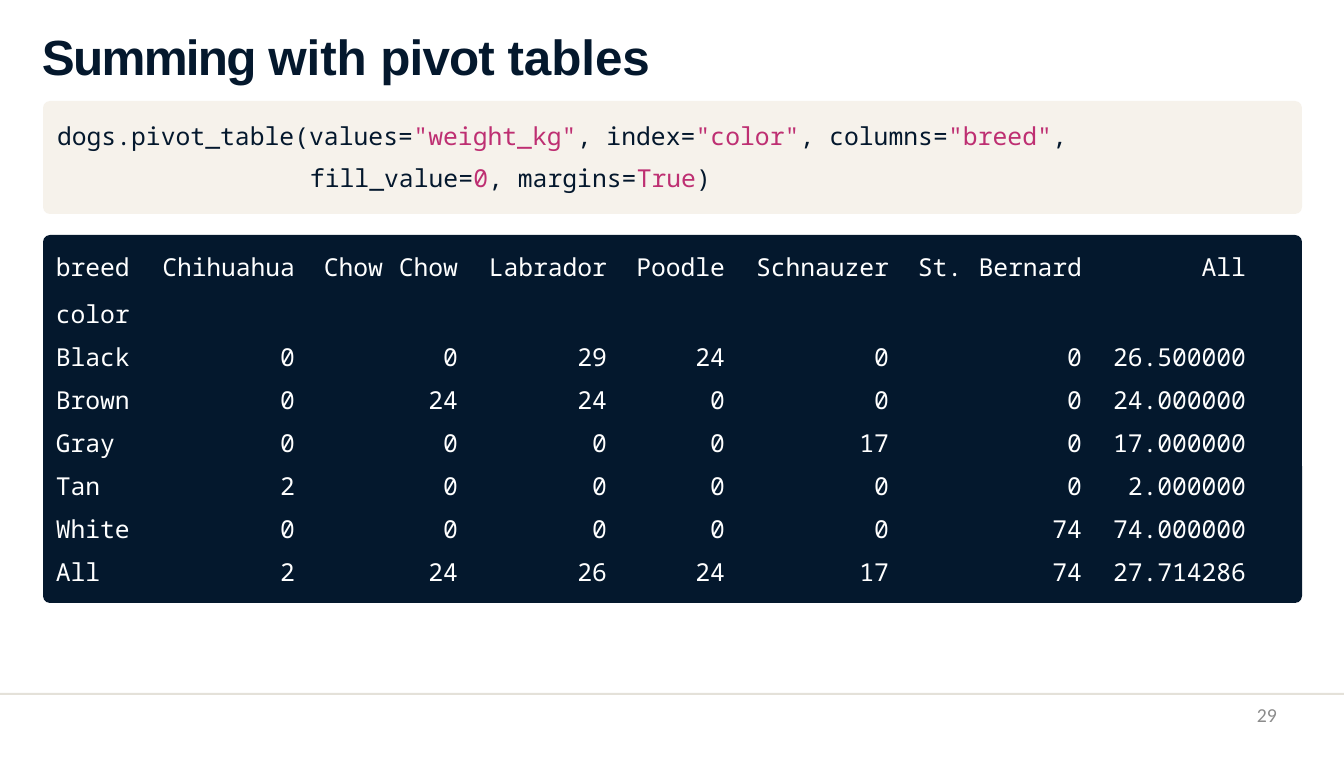
import pptx
import pptx.dml.color
import pptx.enum.shapes
import pptx.enum.text
import pptx.oxml.ns
import pptx.util

SCALE = 914400 / 79  # EMU per px
COLORS = {"navy": "04182D", "cream": "F6F2EB", "pink": "BE2F72",
          "white": "FFFFFF", "rule": "E4E1D9", "gray": "8C8C8C"}
MONO = "Noto Sans Mono"
NO_STYLE = "{2D5ABB26-0587-4C30-8999-92F81FD0307C}"
ALIGN = pptx.enum.text.PP_ALIGN
SHAPES = pptx.enum.shapes.MSO_SHAPE

CODE = [("dogs.pivot_table(values=", "navy"), ('"weight_kg"', "pink"),
        (", index=", "navy"), ('"color"', "pink"), (", columns=", "navy"),
        ('"breed"', "pink"), (", fill_value=", "navy"), ("0", "pink"),
        (", margins=", "navy"), ("True", "pink"), (")", "navy")]

# "Chow Chow" and "St. Bernard" each span two columns
COLUMNS = [92, 163, 82, 81, 149, 118, 164, 67, 126, 152]
HEADER = ["breed", "Chihuahua", "Chow", "Chow", "Labrador", "Poodle",
          "Schnauzer", "St.", "Bernard", "All"]
SPLIT = (2, 7)
ROWS = [["Black", "0", "", "0", "29", "24", "0", "", "0", "26.500000"],
        ["Brown", "0", "", "24", "24", "0", "0", "", "0", "24.000000"],
        ["Gray", "0", "", "0", "0", "0", "17", "", "0", "17.000000"],
        ["Tan", "2", "", "0", "0", "0", "0", "", "0", "2.000000"],
        ["White", "0", "", "0", "0", "0", "0", "", "74", "74.000000"],
        ["All", "2", "", "24", "26", "24", "17", "", "74", "27.714286"]]


def px(n):
    return pptx.util.Emu(round(n * SCALE))


def rgb(name):
    return pptx.dml.color.RGBColor.from_string(COLORS[name])


def add_run(p, text, font=MONO, size=22.5, color="white", bold=False, spacing=0):
    r = p.add_run()
    r.text = text
    r.font.name, r.font.size, r.font.bold = font, pptx.util.Pt(size), bold
    r.font.color.rgb = rgb(color)
    if spacing:
        r._r.get_or_add_rPr().set("spc", str(round(spacing * 100)))
    return r


def format_paragraph(p, align=ALIGN.LEFT, before=0, line=None, left=0, indent=0):
    p.alignment = align
    p.space_before = pptx.util.Pt(before)
    if line:
        p.line_spacing = line
    p_pr = p._p.get_or_add_pPr()
    p_pr.set("marL", str(px(left)))
    p_pr.set("indent", str(px(indent)))
    return p


def prepare_frame(tf, top=0):
    tf.word_wrap = True
    tf.auto_size = pptx.enum.text.MSO_AUTO_SIZE.NONE
    tf.vertical_anchor = pptx.enum.text.MSO_ANCHOR.TOP
    tf.margin_left = tf.margin_right = tf.margin_bottom = 0
    tf.margin_top = px(top)
    return tf.paragraphs[0]


def add_text_box(slide, x, y, w, h, top=0):
    sp = slide.shapes.add_textbox(px(x), px(y), px(w), px(h))
    return prepare_frame(sp.text_frame, top)


def add_panel(slide, x, y, w, h, color, radius=0):
    kind = SHAPES.ROUNDED_RECTANGLE if radius else SHAPES.RECTANGLE
    sp = slide.shapes.add_shape(kind, px(x), px(y), px(w), px(h))
    if radius:
        sp.adjustments[0] = radius / h
    sp.shadow.inherit = False
    sp.fill.solid()
    sp.fill.fore_color.rgb = rgb(color)
    sp.line.fill.background()


def add_title(slide, x, y, w, h):
    sp = slide.shapes.title
    sp.left, sp.top, sp.width, sp.height = px(x), px(y), px(w), px(h)
    p = format_paragraph(prepare_frame(sp.text_frame, 2), before=1.1, left=1)
    for text, spacing in [("Summing ", -1.6), ("with ", -0.1),
                          ("pivot ", -0.8), ("tables", -0.1)]:
        add_run(p, text, font="Arial", size=45, color="navy", bold=True,
                spacing=spacing)


def add_code(slide, x, y, w, h):
    add_panel(slide, x, y, w, h, "cream", radius=7)
    p = add_text_box(slide, x + 13, y + 6, 1012, h - 26, top=1)
    format_paragraph(p, before=0.9, line=1.43, left=254, indent=-253)
    for text, color in CODE:
        add_run(p, text, color=color)


def add_output(slide, x, y, w, h):
    add_panel(slide, x, y, w, h, "navy", radius=7)
    heights = [79] + [43] * 5 + [36]
    frame = slide.shapes.add_table(len(heights), len(COLUMNS), px(x + 11), px(y + 20),
                                   px(sum(COLUMNS)), px(sum(heights)))
    table = frame.table
    table.first_row = table.horz_banding = False
    table._tbl.tblPr.find(pptx.oxml.ns.qn("a:tableStyleId")).text = NO_STYLE
    for column, width in zip(table.columns, COLUMNS):
        column.width = px(width)
    for i, (row, height) in enumerate(zip([HEADER] + ROWS, heights)):
        table.rows[i].height = px(height)
        for j, text in enumerate(row):
            fill_cell(table.cell(i, j), text, i == 0, j)
    # Index name under the first header
    p = table.cell(0, 0).text_frame.add_paragraph()
    add_run(format_paragraph(p, before=11.7, left=2), "color", spacing=-0.1)


def fill_cell(cell, text, is_header, j):
    cell.fill.background()
    cell.margin_left = cell.margin_bottom = 0
    cell.margin_top = px(0 if is_header else 6)
    is_left = j == 0 or j in SPLIT
    cell.margin_right = px(0 if is_left else 2 if j == len(COLUMNS) - 1 else 14)
    if text:
        p = format_paragraph(cell.text_frame.paragraphs[0],
                             align=ALIGN.LEFT if is_left else ALIGN.RIGHT,
                             before=0 if is_header else 4.8,
                             line=pptx.util.Pt(26.4) if is_header else None,
                             left=15 if j in SPLIT else 2 if is_left else 0)
        add_run(p, text, spacing=-0.1)


def add_footer(slide, x, y, w, h):
    add_panel(slide, x, y, w, 2, "rule")
    p = add_text_box(slide, x + 968, y + 10, 309, h)
    add_run(format_paragraph(p, align=ALIGN.RIGHT), "29",
            font="Calibri", size=18, color="gray")


def main():
    prs = pptx.Presentation()
    prs.slide_width, prs.slide_height = px(1344), px(757)
    slide = prs.slides.add_slide(prs.slide_layouts[5])
    add_footer(slide, 0, 693, 1344, 38)
    add_title(slide, 41, 24, 812, 62)
    add_code(slide, 43, 101, 1259, 113)
    add_output(slide, 43, 235, 1259, 368)
    prs.save("out.pptx")


if __name__ == "__main__":
    main()
